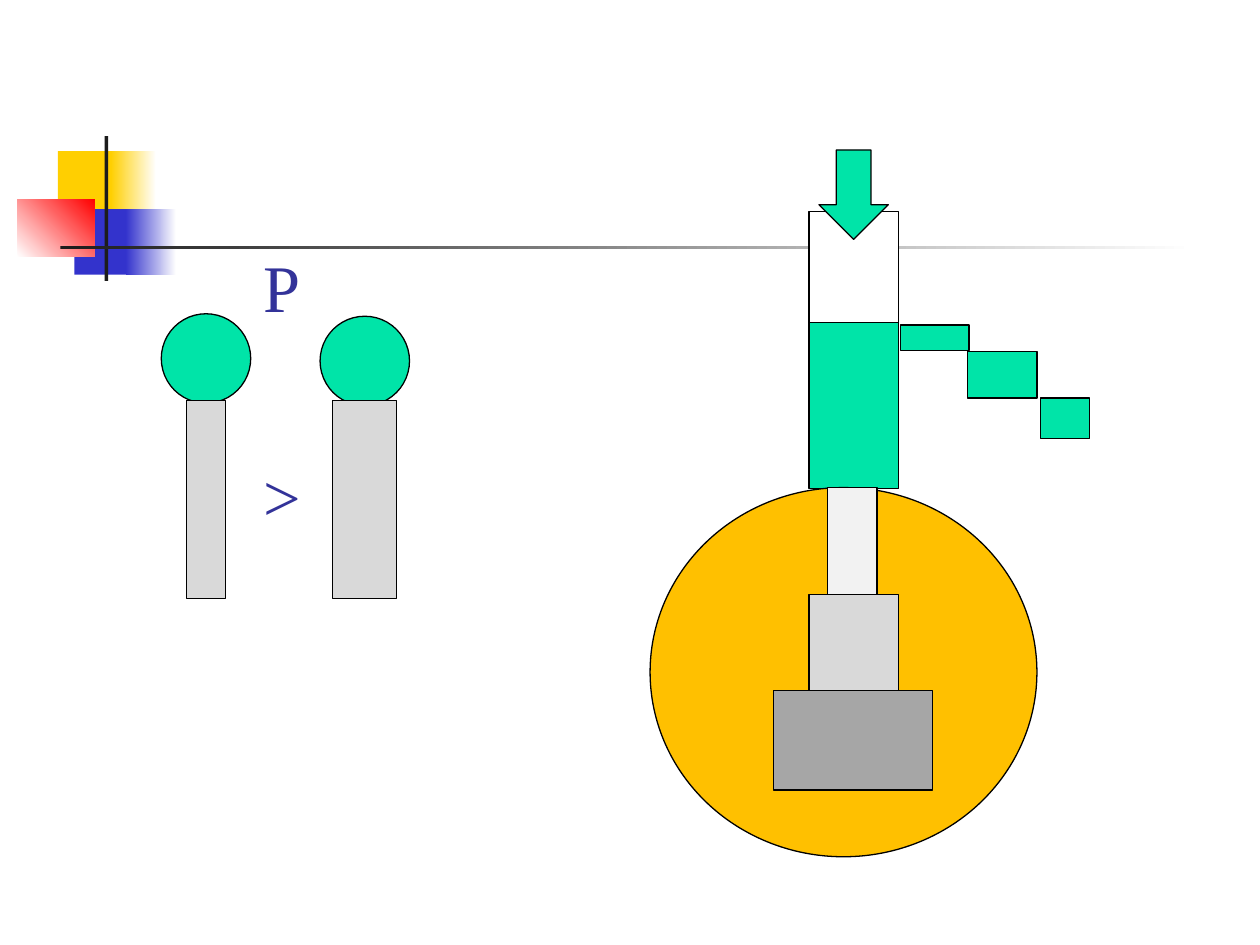
from pptx import Presentation
from pptx.dml.color import RGBColor
from pptx.enum.shapes import MSO_SHAPE
from pptx.enum.text import MSO_AUTO_SIZE
from pptx.util import Inches, Pt

COLORS = {
    "white": "FFFFFF", "black": "000000", "yellow": "FFCF01", "blue": "3333CC",
    "red": "FF0000", "charcoal": "1C1C1C", "green": "00E4A8", "amber": "FFC000",
    "pale": "F2F2F2", "light": "D9D9D9", "mid": "A6A6A6", "navy": "333399",
}
RECT, OVAL, ARROW = MSO_SHAPE.RECTANGLE, MSO_SHAPE.OVAL, MSO_SHAPE.DOWN_ARROW


def rgb(name):
    return RGBColor.from_string(COLORS[name])


def add_shape(slide, kind, box, color):
    """Solid shape without outline."""
    sp = slide.shapes.add_shape(kind, *map(Inches, box))
    sp.shadow.inherit = False
    sp.fill.solid()
    sp.fill.fore_color.rgb = rgb(color)
    sp.line.fill.background()
    return sp


def add_outlined(slide, kind, box, color):
    sp = add_shape(slide, kind, box, color)
    sp.line.color.rgb = rgb("black")
    sp.line.width = Pt(0.75)


def add_gradient(slide, box, start, end, angle=0):
    sp = add_shape(slide, RECT, box, start)
    sp.fill.gradient()
    sp.fill.gradient_angle = angle
    for stop, color, position in zip(sp.fill.gradient_stops, (start, end), (0, 1)):
        stop.color.rgb = rgb(color)
        stop.position = position


def add_symbol(slide, left, top, symbol):
    tf = slide.shapes.add_textbox(*map(Inches, (left, top, 0.5, 0.74))).text_frame
    tf.word_wrap = False
    tf.auto_size = MSO_AUTO_SIZE.SHAPE_TO_FIT_TEXT
    r = tf.paragraphs[0].add_run()
    r.text = symbol
    r.font.name = "Times New Roman"
    r.font.size = Pt(38)
    r.font.color.rgb = rgb("navy")


def add_decoration(slide):
    add_shape(slide, RECT, (0.46, 1.2, 0.48, 0.52), "yellow")
    add_gradient(slide, (0.88, 1.2, 0.36, 0.52), "yellow", "white")
    add_shape(slide, RECT, (0.59, 1.66, 0.46, 0.52), "blue")
    add_gradient(slide, (1, 1.66, 0.4, 0.52), "blue", "white")
    add_gradient(slide, (0.14, 1.58, 0.61, 0.46), "white", "red", 45)
    add_shape(slide, RECT, (0.83, 1.08, 0.03, 1.15), "charcoal")
    add_gradient(slide, (0.48, 1.95, 9, 0.03), "charcoal", "white")


def add_comparison(slide):
    # Equal balls, each on a column of its own width
    for left, top in ((1.28, 2.49), (2.54, 2.51)):
        add_outlined(slide, OVAL, (left, top, 0.71, 0.71), "green")
    for left, width in ((1.48, 0.31), (2.64, 0.51)):
        add_outlined(slide, RECT, (left, 3.18, width, 1.57), "light")
    for top, symbol in ((1.9, "P"), (3.56, ">")):
        add_symbol(slide, 1.99, top, symbol)


def add_vessel(slide):
    # Tube and its liquid
    add_outlined(slide, RECT, (6.42, 1.68, 0.71, 1.81), "white")
    add_outlined(slide, RECT, (6.42, 2.56, 0.71, 1.32), "green")
    # Bulb with the stepped column inside
    add_outlined(slide, OVAL, (5.16, 3.87, 3.07, 2.93), "amber")
    add_outlined(slide, RECT, (6.57, 3.87, 0.39, 0.85), "pale")
    add_outlined(slide, RECT, (6.42, 4.72, 0.71, 0.79), "light")
    add_outlined(slide, RECT, (6.14, 5.48, 1.26, 0.79), "mid")
    # Pressure arrow
    add_outlined(slide, ARROW, (6.5, 1.19, 0.55, 0.71), "green")
    # Outflow steps
    for box in ((7.15, 2.58, 0.54, 0.2), (7.68, 2.79, 0.55, 0.37),
                (8.26, 3.16, 0.39, 0.32)):
        add_outlined(slide, RECT, box, "green")


def main():
    prs = Presentation()
    prs.slide_width, prs.slide_height = Inches(10), Inches(7.5)
    slide = prs.slides.add_slide(prs.slide_layouts[6])
    add_decoration(slide)
    add_vessel(slide)
    add_comparison(slide)
    prs.save("out.pptx")


if __name__ == "__main__":
    main()
